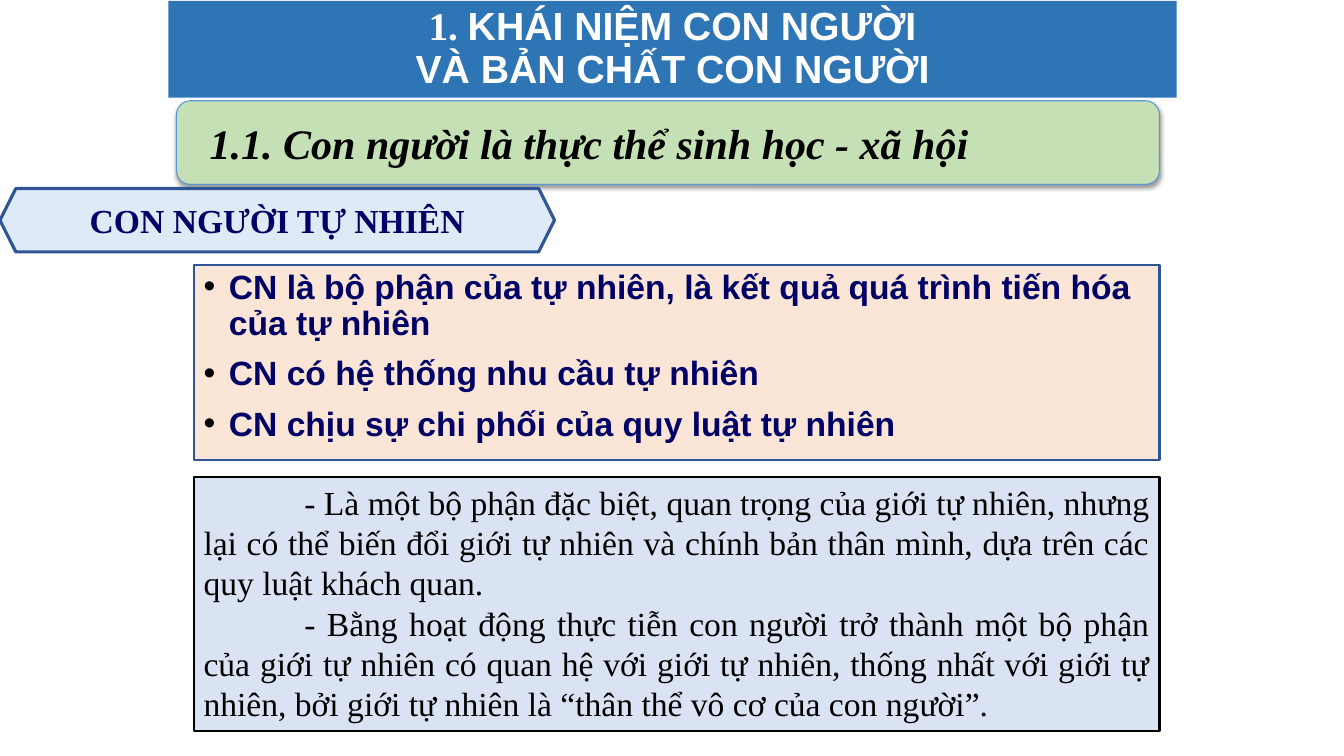
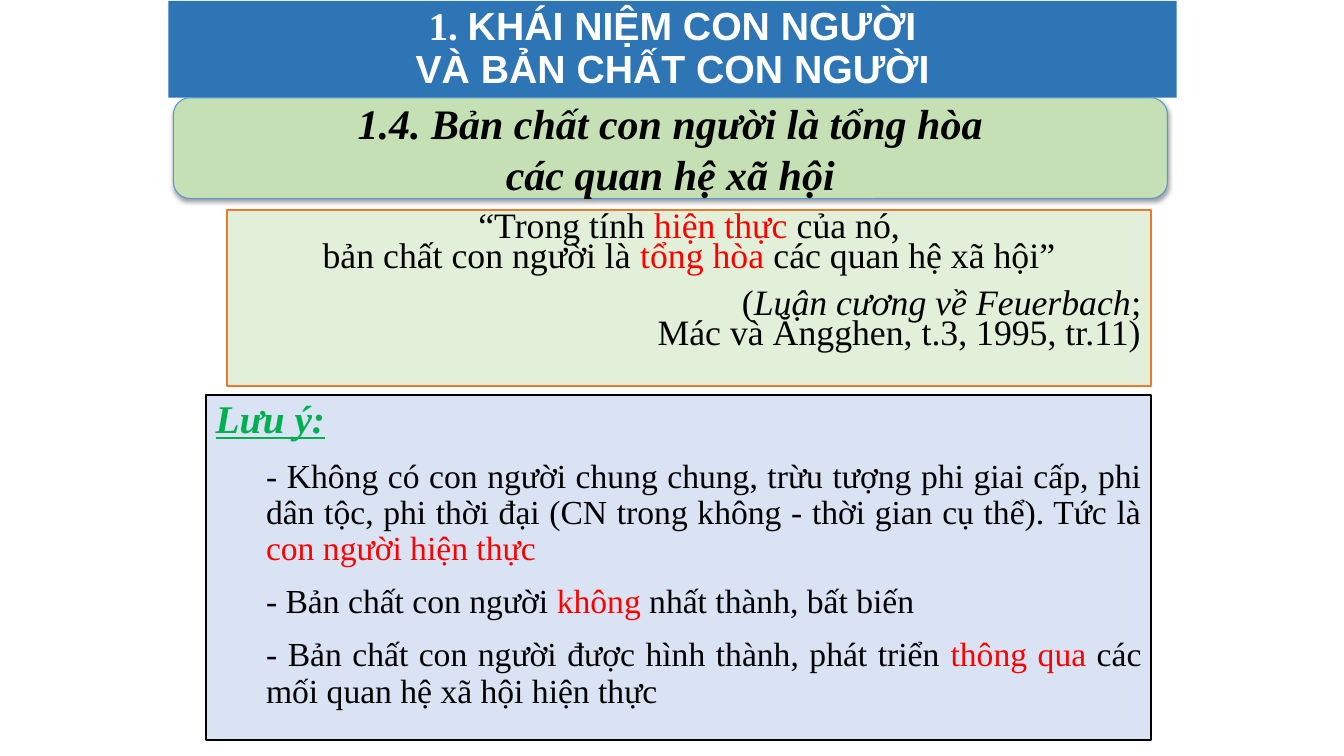
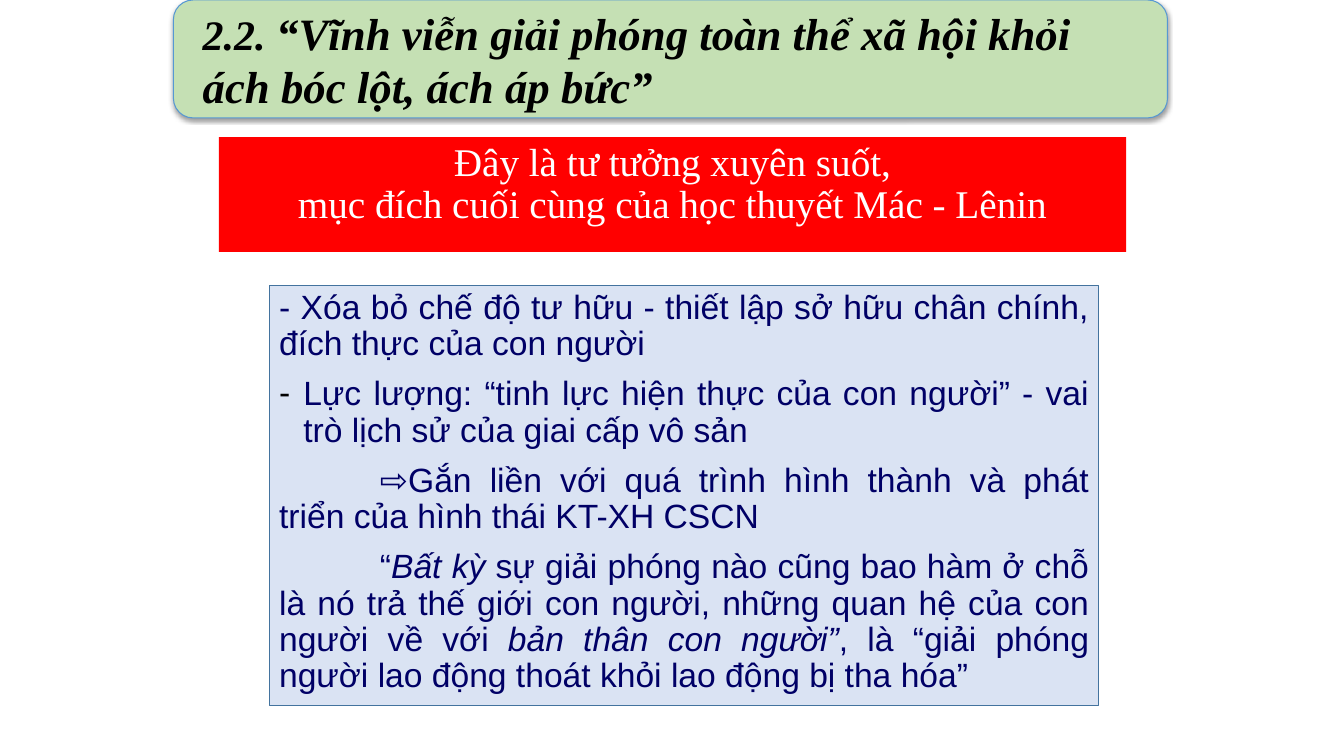
from dataclasses import dataclass

from lxml import etree
from pptx import Presentation
from pptx.dml.color import RGBColor
from pptx.enum.shapes import MSO_SHAPE
from pptx.enum.text import MSO_ANCHOR, MSO_AUTO_SIZE, PP_ALIGN
from pptx.oxml.ns import qn
from pptx.util import Inches, Pt

LEFT, CENTER, RIGHT, JUSTIFY = (
    PP_ALIGN.LEFT, PP_ALIGN.CENTER, PP_ALIGN.RIGHT, PP_ALIGN.JUSTIFY)
TOP, MIDDLE = MSO_ANCHOR.TOP, MSO_ANCHOR.MIDDLE
ROUNDED, HEXAGON = MSO_SHAPE.ROUNDED_RECTANGLE, MSO_SHAPE.HEXAGON
NO_AUTOFIT = MSO_AUTO_SIZE.NONE

SERIF, SANS = "Times New Roman", "Arial"
BLACK = RGBColor(0x00, 0x00, 0x00)
WHITE = RGBColor(0xFF, 0xFF, 0xFF)
RED = RGBColor(0xFF, 0x00, 0x00)
GREEN = RGBColor(0x00, 0xB0, 0x50)
NAVY = RGBColor(0x00, 0x00, 0x66)
BANNER_BLUE = RGBColor(0x2E, 0x75, 0xB6)
CARD_GREEN = RGBColor(0xC5, 0xE0, 0xB4)
CARD_EDGE = RGBColor(0x56, 0x98, 0xD3)
PALE_BLUE = RGBColor(0xDA, 0xE3, 0xF3)
TAG_BLUE = RGBColor(0xDE, 0xEB, 0xF7)
DEEP_BLUE = RGBColor(0x2F, 0x55, 0x97)
STEEL = RGBColor(0x43, 0x73, 0x9E)
PEACH = RGBColor(0xFB, 0xE5, 0xD6)
PALE_GREEN = RGBColor(0xE2, 0xF0, 0xD9)
ORANGE = RGBColor(0xEC, 0x79, 0x2B)


@dataclass
class Style:
    font: str
    size: float
    color: RGBColor
    bold: bool = False
    italic: bool = False
    align: PP_ALIGN = LEFT
    spacing: float = 1.0
    before: float = 0


@dataclass
class Line:
    """One paragraph; each span is plain text or (text, font changes)."""
    spans: list
    align: PP_ALIGN = None
    before: float = None
    after: float = 0
    margin: float = 0
    indent: float = 0
    bullet: str = ""


# Text
def add_bullet(paragraph, character):
    properties = paragraph._p.get_or_add_pPr()
    if not character:
        etree.SubElement(properties, qn("a:buNone"))
        return
    color = etree.SubElement(properties, qn("a:buClr"))
    etree.SubElement(color, qn("a:srgbClr"), val=str(BLACK))
    etree.SubElement(properties, qn("a:buFont"), typeface=SANS)
    etree.SubElement(properties, qn("a:buChar"), char=character)


def add_span(paragraph, content, style):
    text, changes = (content, {}) if isinstance(content, str) else content
    span = paragraph.add_run()
    span.text = text
    font = span.font
    font.name = changes.get("font", style.font)
    font.size = Pt(changes.get("size", style.size))
    font.color.rgb = changes.get("color", style.color)
    font.bold = changes.get("bold", style.bold)
    font.italic = changes.get("italic", style.italic)
    if changes.get("underline"):
        font.underline = True


def write(box, lines, style, anchor=TOP, side=0.1, edge=0.05):
    frame = box.text_frame
    frame.word_wrap = True
    frame.auto_size = NO_AUTOFIT
    frame.vertical_anchor = anchor
    frame.margin_left = frame.margin_right = Inches(side)
    frame.margin_top = frame.margin_bottom = Inches(edge)
    for index, line in enumerate(lines):
        paragraph = frame.add_paragraph() if index else frame.paragraphs[0]
        paragraph.alignment = style.align if line.align is None else line.align
        paragraph.line_spacing = style.spacing
        paragraph.space_before = Pt(
            style.before if line.before is None else line.before)
        paragraph.space_after = Pt(line.after)
        properties = paragraph._p.get_or_add_pPr()
        properties.set("marL", str(Inches(line.margin)))
        properties.set("indent", str(Inches(line.indent)))
        add_bullet(paragraph, line.bullet)
        for content in line.spans:
            add_span(paragraph, content, style)


# Boxes
def place(box, left, top, width, height):
    box.left, box.top = Inches(left), Inches(top)
    box.width, box.height = Inches(width), Inches(height)


def paint(box, fill, line=None, weight=1.5):
    box.fill.solid()
    box.fill.fore_color.rgb = fill
    if line is None:
        box.line.fill.background()
    else:
        box.line.color.rgb = line
        box.line.width = Pt(weight)


def add_box(page, area, shape=None):
    lengths = [Inches(value) for value in area]
    if shape is None:
        return page.shapes.add_textbox(*lengths)
    box = page.shapes.add_shape(shape, *lengths)
    box.shadow.inherit = False
    return box


def add_soft_shadow(box):
    effects = box.element.spPr.find(qn("a:effectLst"))
    shadow = etree.SubElement(
        effects, qn("a:outerShdw"), blurRad=str(Pt(3.1)), dist=str(Pt(1.6)),
        dir="5400000", rotWithShape="0")
    color = etree.SubElement(shadow, qn("a:srgbClr"), val=str(BLACK))
    etree.SubElement(color, qn("a:alpha"), val="38000")


# Parts the slides share
def add_page(deck):
    return deck.slides.add_slide(deck.slide_layouts[1])


def set_banner(page):
    title = page.shapes.title
    place(title, 1.67, 0.01, 10, 0.96)
    paint(title, BANNER_BLUE)
    style = Style(SANS, 28, WHITE, bold=True, align=CENTER, spacing=0.9)
    write(title, [
        Line([("1. ", {"font": SERIF}), "KHÁI NIỆM CON NGƯỜI"]),
        Line(["VÀ BẢN CHẤT CON NGƯỜI"]),
    ], style, MIDDLE)


def add_heading(page, area, lines, align=LEFT, as_title=False):
    """Rounded green card; its text may be the title of the slide."""
    card = add_box(page, area, ROUNDED)
    paint(card, CARD_GREEN, CARD_EDGE, 0.75)
    add_soft_shadow(card)
    label = card
    if as_title:
        label = page.shapes.title
        place(label, *area)
        card.element.addnext(label.element)
    style = Style(SERIF, 30, BLACK, bold=True, italic=True, align=align)
    write(label, lines, style, MIDDLE, side=0.29, edge=0)


def set_body(page, area, fill, line, lines, style):
    body = page.placeholders[1]
    place(body, *area)
    paint(body, fill, line)
    write(body, lines, style)


def add_panel(page, area, line, weight, lines, style):
    panel = add_box(page, area)
    paint(panel, PALE_BLUE, line, weight)
    write(panel, lines, style)


# Slides
def build_natural_being(deck):
    page = add_page(deck)
    set_banner(page)
    add_heading(page, (1.75, 1, 9.75, 0.83),
                [Line(["1.1. Con người là thực thể sinh học - xã hội"])])

    tag = add_box(page, (0, 1.87, 5.5, 0.63), HEXAGON)
    paint(tag, TAG_BLUE, DEEP_BLUE, 2.25)
    write(tag, [Line(["CON NGƯỜI TỰ NHIÊN"])],
          Style(SERIF, 24, NAVY, bold=True, align=CENTER), MIDDLE)

    points = (
        "CN là bộ phận của tự nhiên, là kết quả quá trình tiến hóa của tự nhiên",
        "CN có hệ thống nhu cầu tự nhiên",
        "CN chịu sự chi phối của quy luật tự nhiên",
    )
    set_body(page, (1.92, 2.63, 9.58, 1.93), PEACH, DEEP_BLUE,
             [Line([point], margin=0.25, indent=-0.25, bullet="•")
              for point in points],
             Style(SANS, 24, NAVY, bold=True, spacing=0.9, before=10))

    remarks = (
        "- Là một bộ phận đặc biệt, quan trọng của giới tự nhiên, nhưng lại có "
        "thể biến đổi giới tự nhiên và chính bản thân mình, dựa trên các quy "
        "luật khách quan.",
        "- Bằng hoạt động thực tiễn con người trở thành một bộ phận của giới tự "
        "nhiên có quan hệ với giới tự nhiên, thống nhất với giới tự nhiên, bởi "
        "giới tự nhiên là “thân thể vô cơ của con người”.",
    )
    add_panel(page, (1.92, 4.73, 9.58, 2.52), BLACK, 1.5,
              [Line([remark], indent=1) for remark in remarks],
              Style(SERIF, 24, BLACK, align=JUSTIFY))


def build_social_relations(deck):
    page = add_page(deck)
    set_banner(page)
    add_heading(page, (1.72, 0.97, 9.86, 1),
                [Line(["1.4. Bản chất con người là tổng hòa"]),
                 Line(["các quan hệ xã hội"])], CENTER)

    red = {"color": RED}
    set_body(page, (2.25, 2.08, 9.17, 1.75), PALE_GREEN, ORANGE, [
        Line(["“Trong tính ", ("hiện thực ", red), "của nó,"], before=10),
        Line(["bản chất con người là ", ("tổng hòa ", red),
              "các quan hệ xã hội”"], after=12),
        Line(["(", ("Luận cương về Feuerbach", {"italic": True}), ";"],
             align=RIGHT),
        Line(["Mác và Ăngghen, t.3, 1995, tr.11)"], align=RIGHT),
    ], Style(SERIF, 25.5, BLACK, align=CENTER, spacing=0.7))

    note_mark = {"size": 28, "color": GREEN, "bold": True, "italic": True,
                 "underline": True}
    notes = (
        ["- Không có con người chung chung, trừu tượng phi giai cấp, phi dân "
         "tộc, phi thời đại (CN trong không - thời gian cụ thể). Tức là ",
         ("con người hiện thực", red)],
        ["- Bản chất con người ", ("không", red), " nhất thành, bất biến"],
        ["- Bản chất con người được hình thành, phát triển ",
         ("thông qua", red), " các mối quan hệ xã hội hiện thực"],
    )
    add_panel(page, (2.04, 3.92, 9.38, 3.42), BLACK, 1.5,
              [Line([("Lưu ý:", note_mark)])]
              + [Line(spans, margin=0.5) for spans in notes],
              Style(SERIF, 24, BLACK, align=JUSTIFY, spacing=0.9, before=12))


def build_liberation(deck):
    page = add_page(deck)
    set_body(page, (2.17, 1.36, 9, 1.14), RED, None, [
        Line(["Đây là tư tưởng xuyên suốt,"]),
        Line(["mục đích cuối cùng của học thuyết Mác - Lênin"]),
    ], Style(SERIF, 28, WHITE, align=CENTER, spacing=0.9))

    italic = {"italic": True}
    add_panel(page, (2.67, 2.83, 8.23, 4.17), STEEL, 0.75, [
        Line(["- Xóa bỏ chế độ tư hữu - thiết lập sở hữu chân chính, đích thực "
              "của con người"]),
        Line(["Lực lượng: “tinh lực hiện thực của con người” - vai trò lịch sử "
              "của giai cấp vô sản"], margin=0.24, indent=-0.24, bullet="-"),
        Line(["⇨Gắn liền với quá trình hình thành và phát triển của hình thái "
              "KT-XH CSCN"], indent=1),
        Line(["“", ("Bất kỳ", italic),
              " sự giải phóng nào cũng bao hàm ở chỗ là nó trả thế giới con "
              "người, những quan hệ của con người về với ",
              ("bản thân con người”", italic),
              ", là “giải phóng người lao động thoát khỏi lao động bị tha hóa”"],
             indent=1),
    ], Style(SANS, 24, NAVY, align=JUSTIFY, spacing=0.9, before=10))

    add_heading(page, (1.72, 0, 9.86, 1.17), [Line([
        "2.2. ",
        ("“Vĩnh viễn giải phóng toàn thể xã hội khỏi ách bóc lột, ách áp bức”",
         {"size": 32}),
    ])], as_title=True)


def main():
    deck = Presentation()
    deck.slide_width, deck.slide_height = Inches(13.33), Inches(7.5)
    build_natural_being(deck)
    build_social_relations(deck)
    build_liberation(deck)
    deck.save("out.pptx")


if __name__ == "__main__":
    main()
